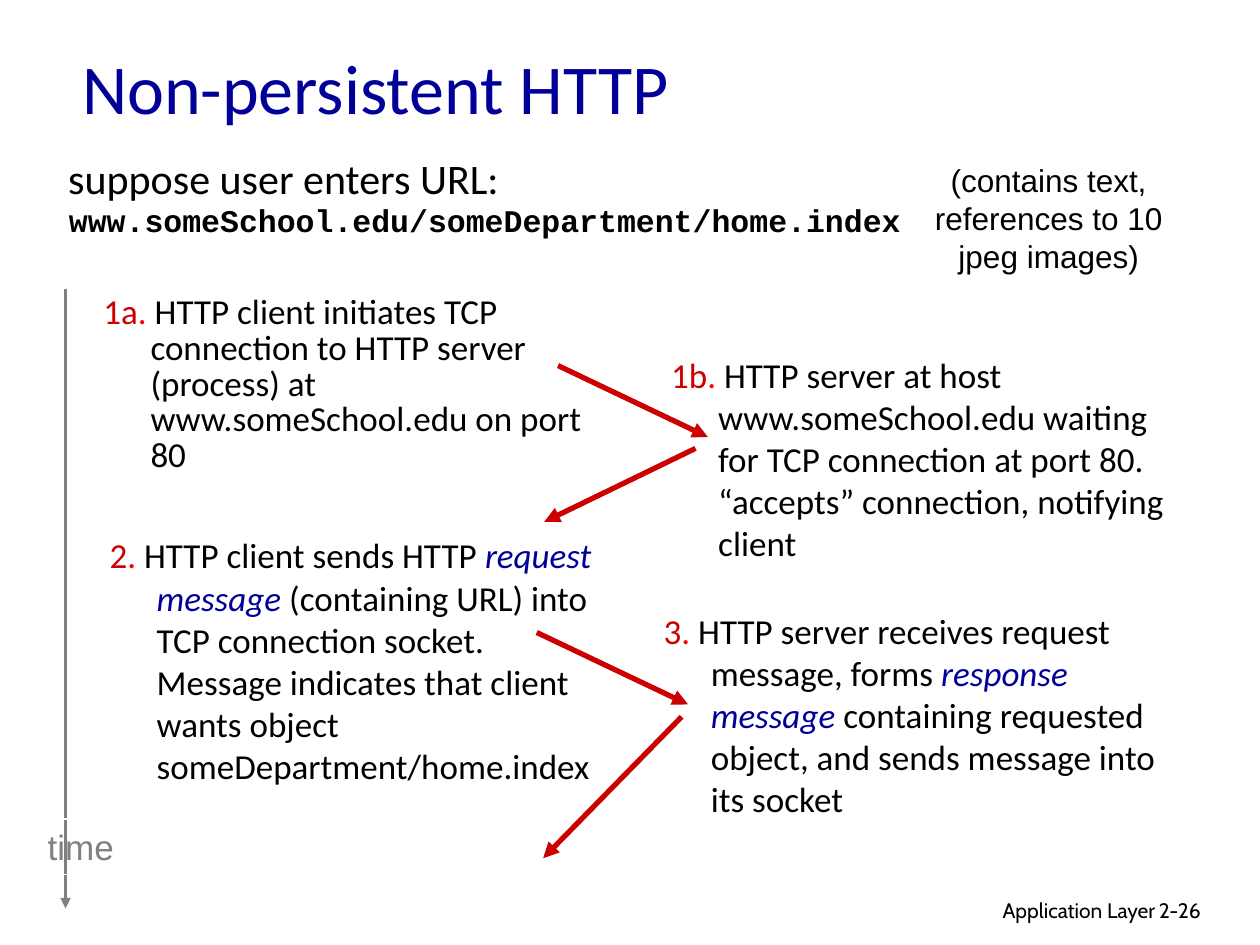
from lxml import etree
from pptx import Presentation
from pptx import util as u
from pptx.dml.color import RGBColor
from pptx.enum import shapes, text
from pptx.oxml import ns

BLACK = RGBColor(0x00, 0x00, 0x00)
BLUE = RGBColor(0x00, 0x00, 0x99)
CRIMSON = RGBColor(0xCC, 0x00, 0x00)
RED = RGBColor(0xFF, 0x00, 0x00)
GRAY = RGBColor(0x80, 0x80, 0x80)
WHITE = RGBColor(0xFF, 0xFF, 0xFF)
LEFT, CENTER, RIGHT = (text.PP_ALIGN.LEFT, text.PP_ALIGN.CENTER,
                       text.PP_ALIGN.RIGHT)

TITLE = "Non-persistent HTTP"
INTRO = "suppose user enters URL:"
URL = "www.someSchool.edu/someDepartment/home.index"
NOTE = ["(contains text,", "references to 10", "jpeg images)"]
STEP_1A = ("1a", [
    (" HTTP client initiates TCP connection to HTTP server (process) at "
     "www.someSchool.edu on port 80", False)])
OTHER_STEPS = [
    ("2", (1.96, 10.64, 10.59, 3), [
        (" HTTP client sends HTTP ", False),
        ("request message", True),
        (" (containing URL) into TCP connection socket. Message indicates "
         "that client wants object someDepartment/home.index", False)]),
    ("1b", (13.28, 7.01, 10.59, 4.19), [
        (" HTTP server at host www.someSchool.edu waiting for TCP connection "
         "at port 80. “accepts” connection, notifying client", False)]),
    ("3", (13.13, 12.17, 10.59, 5), [
        (" HTTP server receives request message, forms ", False),
        ("response message", True),
        (" containing requested object, and sends message into its socket",
         False)]),
]
MESSAGES = [
    (11.25, 7.37, 14.27, 8.81),
    (14.02, 9.04, 10.97, 10.52),
    (10.82, 12.75, 13.87, 14.2),
    (13.74, 14.45, 10.95, 17.3),
]


def place(box, area):
    box.left, box.top, box.width, box.height = map(u.Cm, area)


def add_box(page, area):
    box = page.shapes.add_textbox(*map(u.Cm, area))
    box.text_frame.word_wrap = True
    return box


def style(para, font, size, color, align=LEFT):
    para.alignment = align
    para.font.name = font
    para.font.size = u.Pt(size)
    para.font.color.rgb = color


def hang(para, size, spacing=None):
    para.space_before = u.Pt(size * 0.2)
    para.line_spacing = spacing
    props = para._p.get_or_add_pPr()
    props.set("marL", str(u.Cm(0.95)))
    props.set("indent", str(-u.Cm(0.95)))
    etree.SubElement(props, ns.qn("a:buNone"))


def write_hanging(box, words, font, size, spacing=None):
    para = box.text_frame.paragraphs[0]
    para.text = words
    hang(para, size, spacing)
    style(para, font, size, BLACK)
    return para


def write_step(box, label, parts, spacing=None):
    para = box.text_frame.paragraphs[0]
    hang(para, 20, spacing)
    style(para, "Calibri", 20, BLACK)
    colored = [(label, CRIMSON, False), (".", RED, False)]
    colored += [(words, BLUE if term else BLACK, term) for words, term in parts]
    for words, color, italic in colored:
        span = para.add_run()
        span.text = words
        span.font.color.rgb = color
        if italic:
            span.font.italic = True


def add_arrow(page, ends, color, width):
    arrow = page.shapes.add_connector(shapes.MSO_CONNECTOR.STRAIGHT,
                                      *map(u.Cm, ends))
    arrow.line.color.rgb = color
    arrow.line.width = u.Pt(width)
    line = arrow.line._get_or_add_ln()
    etree.SubElement(line, ns.qn("a:tailEnd"), type="triangle")
    etree.SubElement(arrow._element.spPr, ns.qn("a:effectLst"))


def add_footer(page, words, area, align):
    para = add_box(page, area).text_frame.paragraphs[0]
    para.text = words
    style(para, "Cabin", 12, BLACK, align)


def main():
    deck = Presentation()
    deck.slide_width, deck.slide_height = u.Cm(25.4), u.Cm(19.05)
    page = deck.slides.add_slide(deck.slide_layouts[3])
    title, intro, step_1a = page.placeholders

    add_footer(page, "Application Layer", (15.49, 17.96, 8.05, 0.79), RIGHT)
    add_footer(page, "2-26", (23.11, 17.96, 1.88, 0.79), LEFT)
    add_arrow(page, (1.32, 5.82, 1.32, 18.31), GRAY, 1.5)

    place(title, (1.4, 0.53, 21.59, 2.41))
    title.text_frame.text = TITLE
    title.text_frame.vertical_anchor = text.MSO_ANCHOR.MIDDLE
    style(title.text_frame.paragraphs[0], "Calibri", 40, BLUE)

    place(intro, (1.12, 3.1, 22.07, 1.3))
    write_hanging(intro, INTRO, "Calibri", 24, 0.85)
    place(step_1a, (1.83, 5.84, 10.95, 5.28))
    write_step(step_1a, *STEP_1A, spacing=0.85)
    for holder in (title, intro, step_1a):
        holder.text_frame.auto_size = text.MSO_AUTO_SIZE.NONE

    for label, area, parts in OTHER_STEPS:
        write_step(add_box(page, area), label, parts)
    for ends in MESSAGES:
        add_arrow(page, ends, CRIMSON, 3)

    time = page.shapes.add_shape(shapes.MSO_SHAPE.RECTANGLE,
                                 *map(u.Cm, (0.69, 16.51, 1.88, 1.12)))
    time.shadow.inherit = False
    time.fill.background()
    time.line.color.rgb = WHITE
    time.line.width = u.Pt(0.75)
    time.text_frame.text = "time"
    time.text_frame.word_wrap = False
    style(time.text_frame.paragraphs[0], "Arial", 20, GRAY, CENTER)

    note = add_box(page, (18.5, 3.12, 5.28, 2.54)).text_frame
    note.word_wrap = False
    note.text = "\n".join(NOTE)
    for para in note.paragraphs:
        style(para, "Arial", 18, BLACK, CENTER)

    url = add_box(page, (1.14, 4.04, 22.07, 1.3))
    write_hanging(url, URL, "Courier New", 18, 0.85).font.bold = True

    deck.save("out.pptx")


if __name__ == "__main__":
    main()
